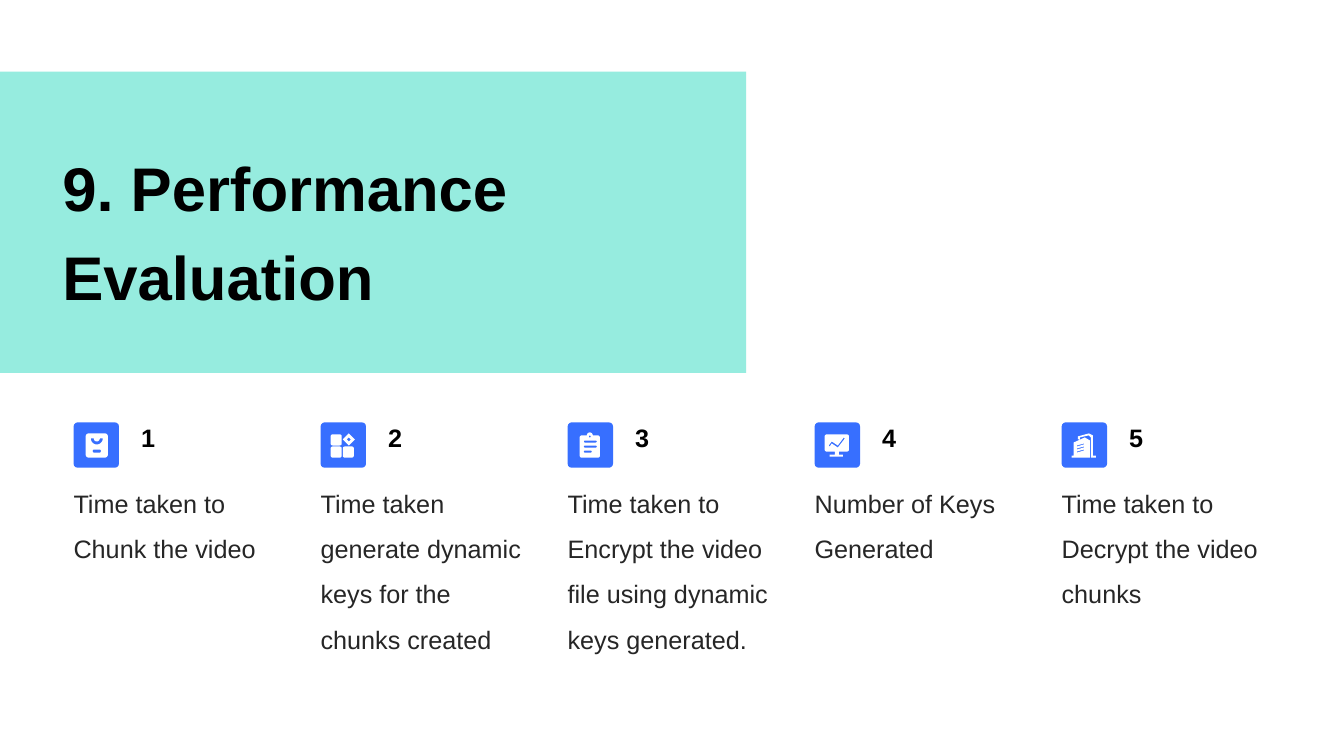
from math import cos, radians, sin

from pptx import Presentation
from pptx import util as u
from pptx.dml.color import RGBColor
from pptx.enum import shapes, text

PX = u.Inches(1) // 100

AQUA = RGBColor(0x96, 0xEC, 0xDF)
BLUE = RGBColor(0x37, 0x6F, 0xFF)
WHITE = RGBColor(0xFF, 0xFF, 0xFF)
BLACK = RGBColor(0, 0, 0)
CHARCOAL = RGBColor(0x26, 0x26, 0x26)

TITLE_FONT = {"name": "Arial", "size": u.Pt(44), "bold": True}
NUMBER_FONT = {"name": "Arial", "size": u.Pt(18), "bold": True}
METRIC_FONT = {"name": "Arial", "size": u.Pt(18), "bold": False}

COLUMN_LEFT, COLUMN_PITCH, COLUMN_TOP = 73, 245, 419
METRICS = [
    "Time taken to Chunk the video",
    "Time taken generate dynamic keys for the chunks created",
    "Time taken to Encrypt the video file using dynamic keys generated.",
    "Number of Keys Generated",
    "Time taken to Decrypt the video chunks",
]


def arc(x, y, radius, start, end):
    """Return points along a circle, with angles in degrees clockwise from the right."""
    angles = [radians(start + (end - start) * step / 12) for step in range(13)]
    return [(x + radius * cos(angle), y + radius * sin(angle)) for angle in angles]


def rounded(left, top, width, height, radius):
    """Return the outline of a rectangle with rounded corners."""
    near_x, far_x = left + radius, left + width - radius
    near_y, far_y = top + radius, top + height - radius
    corners = [(near_x, near_y), (far_x, near_y), (far_x, far_y), (near_x, far_y)]
    return [point for turn, (x, y) in enumerate(corners)
            for point in arc(x, y, radius, 180 + 90 * turn, 270 + 90 * turn)]


# Outlines within each tile; an outline inside another cuts a hole.
BAG = [
    rounded(12, 11, 22, 24, 3),
    arc(23, 16, 6, 0, 180) + arc(23, 16, 3, 180, 0),
    rounded(19, 27, 8, 3, 1),
]
BLOCKS = [rounded(x, y, 11, 11, 2) for x, y in [(10, 12), (10, 24), (22, 24)]] + [
    [(28, 17 - r), (28 + r, 17), (28, 17 + r), (28 - r, 17)] for r in (6, 2)
]
CLIPBOARD = [
    rounded(12, 13, 20, 22, 2),
    arc(22, 13, 3, 180, 360),
    arc(22, 14, 1, 0, 360),
] + [rounded(16, y, width, 2, 1) for y, width in [(18, 13), (23, 13), (28, 8)]]
MONITOR = [
    rounded(10, 12, 24, 17, 2),
    [(20, 29), (24, 29), (24, 32), (28, 32), (28, 34), (15, 34), (15, 32), (20, 32)],
    [(14, 23), (17, 19), (23, 23), (29, 15), (30, 16), (23, 25), (17, 21), (15, 24)],
]
BUILDING = [
    [(12, 20), (23, 15), (28, 18), (28, 35), (10, 35), (10, 33), (12, 33)],
    [(16, 14), (27, 11), (31, 13), (31, 33), (34, 33), (34, 35), (29, 35),
     (29, 15), (27, 13), (18, 15), (18, 17), (16, 17)],
] + [[(15, y + 2), (22, y), (22, y + 1), (15, y + 3)] for y in (21, 24, 27)]
ICONS = [BAG, BLOCKS, CLIPBOARD, MONITOR, BUILDING]


def paint(shape, colour):
    shape.shadow.inherit = False
    shape.fill.solid()
    shape.fill.fore_color.rgb = colour
    shape.line.fill.background()


def add_panel(page, kind, bounds, colour):
    panel = page.shapes.add_shape(kind, *(length * PX for length in bounds))
    paint(panel, colour)
    return panel


def add_text(page, bounds, words, font, colour, spacing=1.0, margins=(0, 0),
             anchor=text.MSO_ANCHOR.TOP):
    """Add a text box; margins are the side and the top and bottom insets."""
    box = page.shapes.add_textbox(*(length * PX for length in bounds))
    side, end = (margin * PX for margin in margins)
    frame_format = {
        "word_wrap": True, "vertical_anchor": anchor,
        "margin_left": side, "margin_right": side,
        "margin_top": end, "margin_bottom": end,
    }
    for name, value in frame_format.items():
        setattr(box.text_frame, name, value)
    para = box.text_frame.paragraphs[0]
    para.line_spacing = spacing
    span = para.add_run()
    span.text = words
    for name, value in font.items():
        setattr(span.font, name, value)
    span.font.color.rgb = colour


def add_icon(page, left, top, outlines):
    """Draw all outlines as one white shape."""
    placed = [[((left + x) * PX, (top + y) * PX) for x, y in outline]
              for outline in outlines]
    builder = page.shapes.build_freeform(*placed[0][0], scale=1.0)
    for outline in placed:
        if outline is not placed[0]:
            builder.move_to(*outline[0])
        builder.add_line_segments(outline[1:], close=True)
    paint(builder.convert_to_shape(), WHITE)


def add_metric(page, index, words, icon):
    left = COLUMN_LEFT + COLUMN_PITCH * index
    tile = add_panel(page, shapes.MSO_SHAPE.ROUNDED_RECTANGLE,
                     (left, COLUMN_TOP, 45, 45), BLUE)
    tile.adjustments[0] = 0.09
    add_icon(page, left, COLUMN_TOP, icon)
    add_text(page, (left + 67, COLUMN_TOP, 134, 45), str(index + 1), NUMBER_FONT, BLACK)
    add_text(page, (left, COLUMN_TOP + 50, 200, 201), words, METRIC_FONT, CHARCOAL,
             spacing=1.5)


def main():
    deck = Presentation()
    deck.slide_width, deck.slide_height = 1333 * PX, 750 * PX
    page = deck.slides.add_slide(deck.slide_layouts[6])
    add_panel(page, shapes.MSO_SHAPE.RECTANGLE, (0, 71, 740, 299), AQUA)
    add_text(page, (52, 85, 669, 275), "9. Performance Evaluation", TITLE_FONT, BLACK,
             spacing=1.2, margins=(10, 5), anchor=text.MSO_ANCHOR.MIDDLE)
    for index, (words, icon) in enumerate(zip(METRICS, ICONS)):
        add_metric(page, index, words, icon)
    deck.save("out.pptx")


if __name__ == "__main__":
    main()
